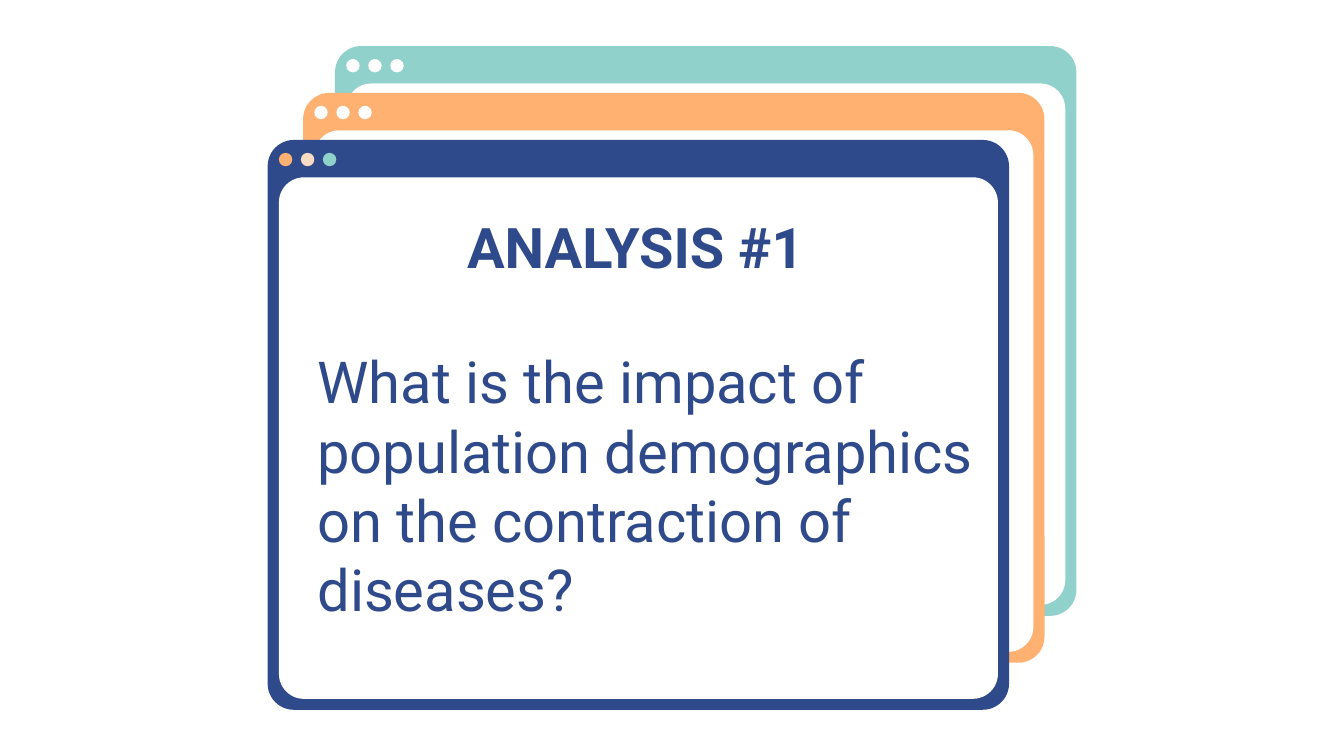
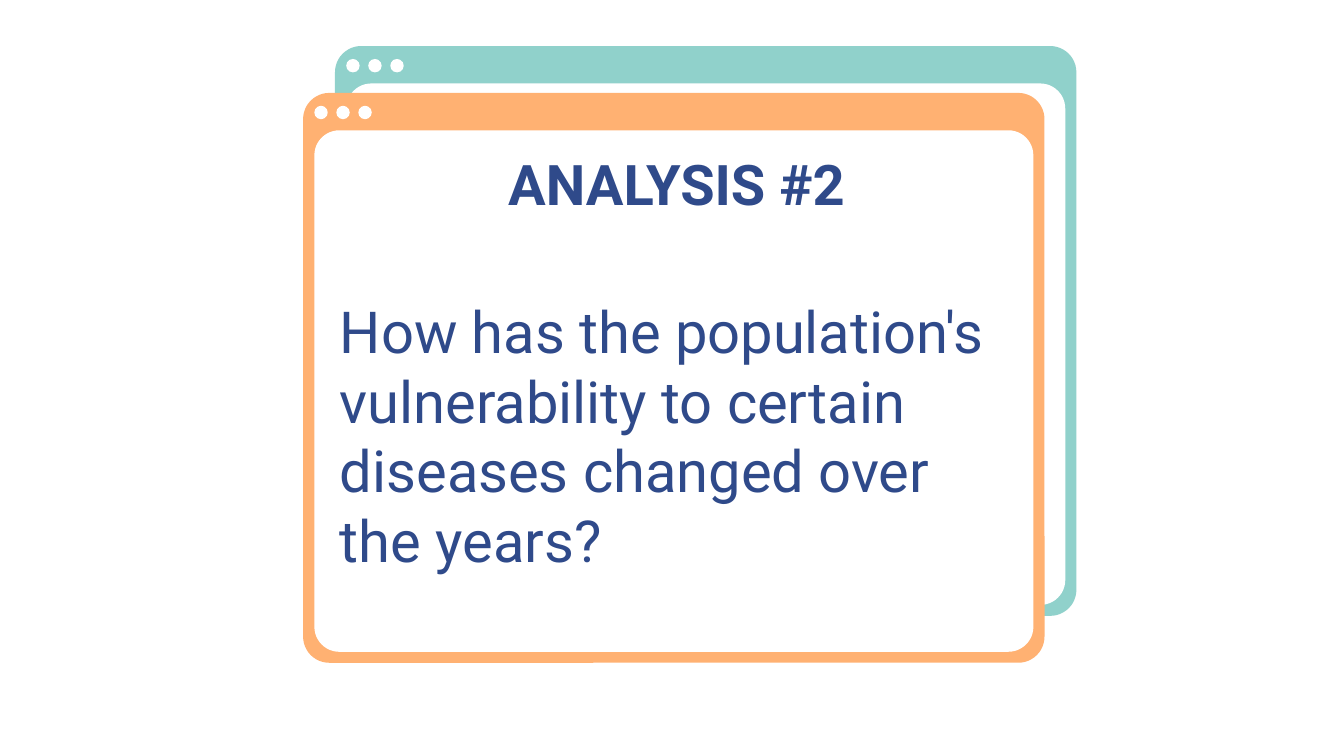
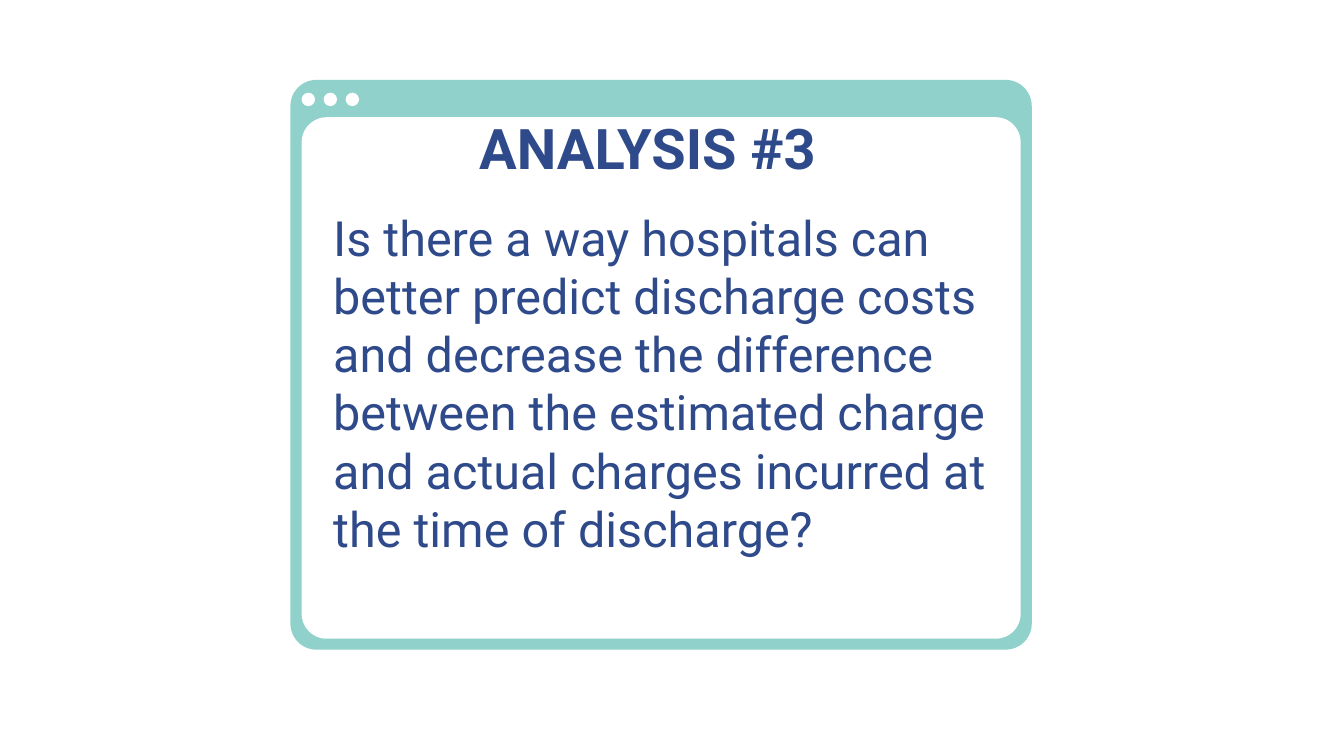
from dataclasses import dataclass

from pptx import Presentation
from pptx.dml.color import RGBColor
from pptx.enum.shapes import MSO_SHAPE
from pptx.enum.text import MSO_ANCHOR, MSO_AUTO_SIZE, PP_ALIGN
from pptx.shapes.autoshape import Shape
from pptx.shapes.group import GroupShape
from pptx.slide import Slide
from pptx.util import Pt

NAVY = RGBColor(0x2F, 0x4A, 0x8A)
ORANGE = RGBColor(0xFF, 0xB1, 0x72)
PEACH = RGBColor(0xF8, 0xDB, 0xC4)
TEAL = RGBColor(0x90, 0xD1, 0xCB)
WHITE = RGBColor(0xFF, 0xFF, 0xFF)

FONT = "Roboto"
TITLE_SIZE = 30
TEXT_INSET = Pt(7.2)

FRAME_WIDTH, FRAME_HEIGHT = 397.2, 305.3
PAGE_WIDTH, PAGE_HEIGHT = 385.2, 279.4
PAGE_LEFT, PAGE_TOP = 6, 20
DOT_TOP, DOT_SIZE, DOT_PITCH = 6.9, 7.2, 11.8


@dataclass(frozen=True)
class Box:
    left: float
    top: float
    width: float
    height: float


@dataclass(frozen=True)
class Window:
    left: float
    top: float
    color: RGBColor
    dots: tuple[RGBColor, ...] = (WHITE,) * 3


@dataclass(frozen=True)
class Analysis:
    windows: tuple[Window, ...]
    title: str
    title_box: Box
    question: str
    question_box: Box
    question_size: float


BACK = Window(179.5, 24.7, TEAL)
MIDDLE = Window(162.4, 49.8, ORANGE)
FRONT = Window(143.4, 75, NAVY, (ORANGE, PEACH, TEAL))
SINGLE = Window(155.6, 42.8, TEAL)

ANALYSES = (
    Analysis(
        (BACK, MIDDLE, FRONT),
        "ANALYSIS #1",
        Box(149, 104.4, 383, 55.4),
        "What is the impact of population demographics on the contraction of diseases?",
        Box(163, 177.1, 375, 165),
        31,
    ),
    Analysis(
        (BACK, MIDDLE),
        "ANALYSIS #2",
        Box(175, 62.6, 375, 71.3),
        "How has the population's vulnerability to certain diseases changed over the years?",
        Box(175, 150.5, 375, 165),
        31,
    ),
    Analysis(
        (SINGLE,),
        "ANALYSIS #3",
        Box(133.2, 51.1, 427.7, 55.4),
        "Is there a way hospitals can better predict discharge costs and decrease "
        "the difference between the estimated charge and actual charges incurred "
        "at the time of discharge?",
        Box(171.4, 102.2, 375, 205.2),
        26,
    ),
)


def add_filled(group: GroupShape, preset: MSO_SHAPE, box: Box, color: RGBColor) -> Shape:
    shape = group.shapes.add_shape(
        preset, Pt(box.left), Pt(box.top), Pt(box.width), Pt(box.height)
    )
    shape.shadow.inherit = False
    shape.fill.solid()
    shape.fill.fore_color.rgb = color
    shape.line.fill.background()
    return shape


def draw_window(slide: Slide, window: Window) -> None:
    group = slide.shapes.add_group_shape()
    frame = Box(window.left, window.top, FRAME_WIDTH, FRAME_HEIGHT)
    page = Box(window.left + PAGE_LEFT, window.top + PAGE_TOP, PAGE_WIDTH, PAGE_HEIGHT)
    for box, color, rounding in ((frame, window.color, 0.046), (page, WHITE, 0.048)):
        add_filled(group, MSO_SHAPE.ROUNDED_RECTANGLE, box, color).adjustments[0] = rounding
    for index, color in enumerate(window.dots):
        dot = Box(page.left + index * DOT_PITCH, window.top + DOT_TOP, DOT_SIZE, DOT_SIZE)
        add_filled(group, MSO_SHAPE.OVAL, dot, color)


def add_text(
    slide: Slide,
    text: str,
    box: Box,
    *,
    size: float,
    bold: bool = False,
    align: PP_ALIGN = PP_ALIGN.LEFT,
    fit: MSO_AUTO_SIZE = MSO_AUTO_SIZE.NONE,
) -> None:
    frame = slide.shapes.add_textbox(
        Pt(box.left), Pt(box.top), Pt(box.width), Pt(box.height)
    ).text_frame
    frame.word_wrap = True
    frame.auto_size = fit
    frame.vertical_anchor = MSO_ANCHOR.MIDDLE
    frame.margin_left = frame.margin_right = TEXT_INSET
    frame.margin_top = frame.margin_bottom = TEXT_INSET
    paragraph = frame.paragraphs[0]
    paragraph.alignment = align
    run = paragraph.add_run()
    run.text = text
    run.font.name = FONT
    run.font.size = Pt(size)
    run.font.bold = bold
    run.font.color.rgb = NAVY


def draw_analysis(slide: Slide, analysis: Analysis) -> None:
    for window in analysis.windows:
        draw_window(slide, window)
    add_text(
        slide,
        analysis.title,
        analysis.title_box,
        size=TITLE_SIZE,
        bold=True,
        align=PP_ALIGN.CENTER,
    )
    add_text(
        slide,
        analysis.question,
        analysis.question_box,
        size=analysis.question_size,
        fit=MSO_AUTO_SIZE.SHAPE_TO_FIT_TEXT,
    )


def main() -> None:
    deck = Presentation()
    deck.slide_width, deck.slide_height = Pt(720), Pt(405)
    blank = deck.slide_layouts[6]
    for analysis in ANALYSES:
        draw_analysis(deck.slides.add_slide(blank), analysis)
    deck.save("out.pptx")


if __name__ == "__main__":
    main()
